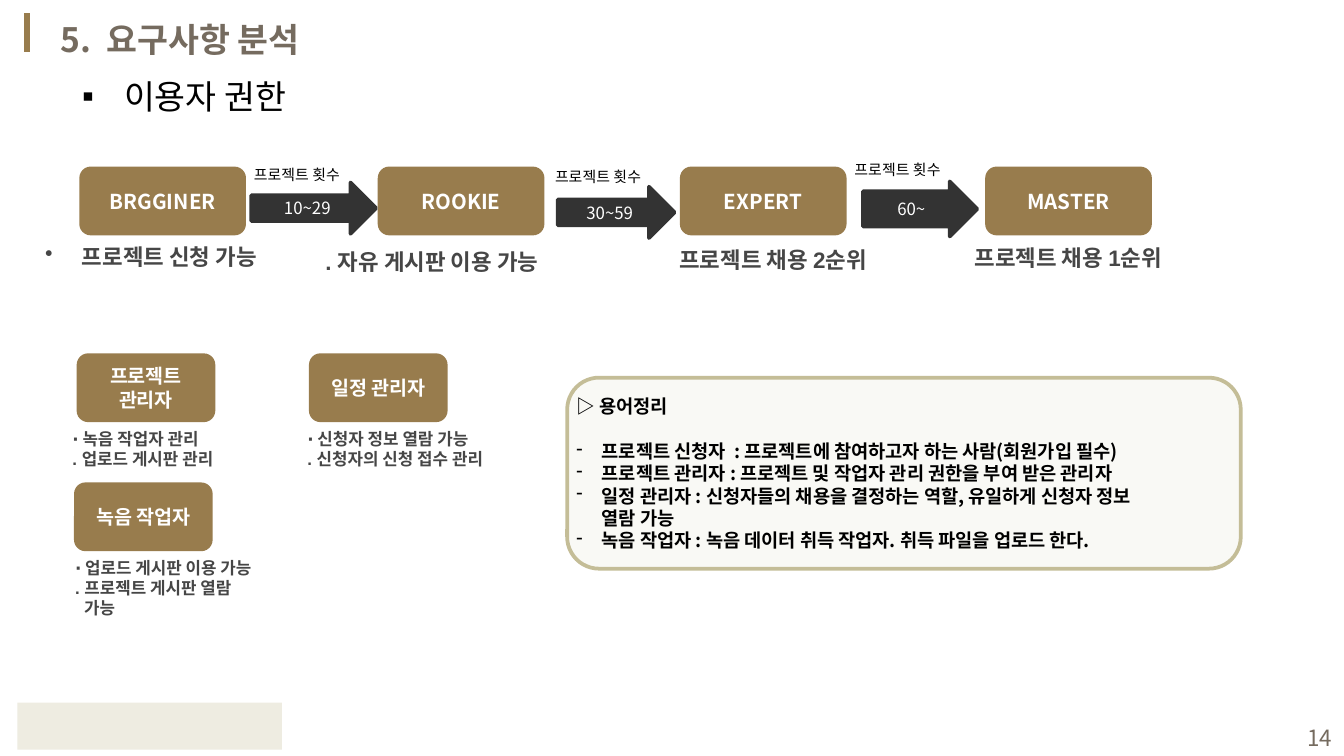
"""Build the user permissions page of a requirements analysis deck."""
from lxml import etree
from pptx import Presentation
from pptx.dml.color import RGBColor
from pptx.enum.shapes import MSO_CONNECTOR, MSO_SHAPE
from pptx.enum.text import MSO_ANCHOR, MSO_AUTO_SIZE, PP_ALIGN
from pptx.oxml.ns import qn
from pptx.util import Cm, Pt

LEFT, CENTER, RIGHT = PP_ALIGN.LEFT, PP_ALIGN.CENTER, PP_ALIGN.RIGHT
TOP, MIDDLE = MSO_ANCHOR.TOP, MSO_ANCHOR.MIDDLE
ROUNDED, ARROW, RECTANGLE = MSO_SHAPE.ROUNDED_RECTANGLE, MSO_SHAPE.RIGHT_ARROW, MSO_SHAPE.RECTANGLE
STRAIGHT, NO_FIT = MSO_CONNECTOR.STRAIGHT, MSO_AUTO_SIZE.NONE

BROWN = RGBColor(0x98, 0x7C, 0x4D)
TAUPE = RGBColor(0x75, 0x6B, 0x5F)
CHARCOAL = RGBColor(0x33, 0x33, 0x33)
GREY = RGBColor(0x46, 0x46, 0x46)
CREAM = RGBColor(0xEE, 0xEC, 0xE1)
SAND = RGBColor(0xC4, 0xBD, 0x97)
WHITE = RGBColor(0xFF, 0xFF, 0xFF)
BLACK = RGBColor(0, 0, 0)
NOTO, ARIAL = "Noto Sans CJK KR", "Arial"


def write(box, lines, size, color, bold=False, name=NOTO, align=LEFT, anchor=TOP):
    """Fill a box with one formatted paragraph for each line."""
    frame = box.text_frame
    for key, value in {"word_wrap": True, "auto_size": NO_FIT, "vertical_anchor": anchor}.items():
        setattr(frame, key, value)
    for number, line in enumerate(lines):
        para = frame.paragraphs[0] if number == 0 else frame.add_paragraph()
        para.alignment = align
        para.space_before = Pt(0)
        span = para.add_run()
        span.text = line
        span.font.color.rgb = color
        for key, value in {"size": Pt(size), "bold": bold, "name": name}.items():
            setattr(span.font, key, value)
        latin = span.font._element.find(qn("a:latin"))
        latin.addnext(latin.makeelement(qn("a:ea"), {"typeface": NOTO}))
    return frame.paragraphs


def indent(para, margin, hanging=0, bullet=None):
    """Set the indent of a paragraph and its bullet character."""
    properties = para._p.get_or_add_pPr()
    properties.set("marL", str(Cm(margin)))
    properties.set("indent", str(-Cm(hanging)))
    if bullet:
        etree.SubElement(properties, qn("a:buChar"), char=bullet)


deck = Presentation()
deck.slide_width, deck.slide_height = Cm(25.4), Cm(14.29)
page = deck.slides.add_slide(deck.slide_layouts[1])
shapes = page.shapes

title, body = page.placeholders
for box, place in ((title, (0.89, 0.23, 6.2, 1.02)), (body, (1.3, 1.3, 4.42, 1.02))):
    box.left, box.top, box.width, box.height = map(Cm, place)
write(title, ["5.  요구사항 분석"], 18, TAUPE, bold=True)
topic = write(body, ["이용자 권한"], 18, BLACK)[0]
indent(topic, 0.79, 0.79, "▪")

bar = shapes.add_connector(STRAIGHT, Cm(0.51), Cm(0.25), Cm(0.51), Cm(0.99))
bar.line.color.rgb, bar.line.width = BROWN, Pt(3)
etree.SubElement(bar._element.spPr, qn("a:effectLst"))

cards = [
    (1.5, 3.15, 3.15, 11, ["BRGGINER"]),
    (7.14, 3.15, 3.15, 11, ["ROOKIE"]),
    (12.85, 3.15, 3.15, 11, ["EXPERT"]),
    (18.62, 3.15, 3.15, 11, ["MASTER"]),
    (1.45, 6.68, 2.62, 10.5, ["프로젝트", "관리자"]),
    (5.84, 6.68, 2.62, 10.5, ["일정 관리자"]),
    (1.4, 9.12, 2.62, 10.5, ["녹음 작업자"]),
]
for left, top, width, size, lines in cards:
    card = shapes.add_shape(ROUNDED, Cm(left), Cm(top), Cm(width), Cm(1.3))
    card.shadow.inherit = False
    card.fill.solid()
    card.fill.fore_color.rgb = BROWN
    card.line.fill.background()
    write(card, lines, size, WHITE, bold=True, align=CENTER, anchor=MIDDLE)

steps = [
    (4.75, 3.45, 2.36, 0.97, 0.5, "10~29", 4.55, 3.0),
    (10.54, 3.53, 2.21, 0.97, 0.5, "30~59", 10.24, 3.05),
    (16.31, 3.43, 2.16, 1.04, 0.64, "60~", 15.9, 2.92),
]
for left, top, width, height, shaft, count, label_left, label_top in steps:
    arrow = shapes.add_shape(ARROW, Cm(left), Cm(top), Cm(width), Cm(height))
    arrow.shadow.inherit = False
    arrow.adjustments[0] = shaft
    arrow.fill.solid()
    arrow.fill.fore_color.rgb = arrow.line.color.rgb = CHARCOAL
    arrow.line.width = Pt(2)
    write(arrow, [count], 9, WHITE, align=CENTER, anchor=MIDDLE)
    label = shapes.add_textbox(Cm(label_left), Cm(label_top), Cm(2.39), Cm(0.61))
    write(label, ["프로젝트 횟수"], 8, BLACK)

rights = [
    (-0.3, 4.47, 6.12, CENTER, " 프로젝트 신청 가능", 0.6, "•"),
    (5.11, 4.57, 6.4, LEFT, ". 자유 게시판 이용 가능", 0, None),
    (12.12, 4.5, 4.98, CENTER, "프로젝트 채용 2순위", 0, None),
    (17.7, 4.47, 4.98, CENTER, "프로젝트 채용 1순위", 0, None),
]
for number, (left, top, width, align, text, hanging, bullet) in enumerate(rights):
    box = shapes.add_textbox(Cm(left), Cm(top), Cm(width), Cm(0.78))
    para = write(box, [text], 12, GREY, bold=True, name=ARIAL, align=align)[0]
    if number < 2:
        indent(para, 0.79, hanging, bullet)
    else:
        para.line_spacing = Pt(15)

duties = [
    (1.12, 7.98, ["∙ 녹음 작업자 관리", ". 업로드 게시판 관리"]),
    (5.56, 7.98, ["∙ 신청자 정보 열람 가능", ". 신청자의 신청 접수 관리"]),
    (1.17, 10.41, ["∙ 업로드 게시판 이용 가능", ". 프로젝트 게시판 열람", "가능"]),
]
for left, top, lines in duties:
    box = shapes.add_textbox(Cm(left), Cm(top), Cm(4.32), Cm(1.5))
    paras = write(box, lines, 9, GREY, bold=True, name=ARIAL)
    for para in paras[2:]:
        indent(para, 0.17)

glossary = shapes.add_shape(ROUNDED, Cm(10.72), Cm(7.14), Cm(12.73), Cm(3.61))
glossary.shadow.inherit = False
glossary.fill.solid()
glossary.fill.fore_color.rgb = CREAM
tint = glossary.fill._xPr.find(qn("a:solidFill"))[0]
etree.SubElement(tint, qn("a:alpha"), val="30000")
glossary.line.color.rgb, glossary.line.width = SAND, Pt(2)
terms = [
    "▷ 용어정리",
    "프로젝트 신청자  : 프로젝트에 참여하고자 하는 사람(회원가입 필수)",
    "프로젝트 관리자 : 프로젝트 및 작업자 관리 권한을 부여 받은 관리자",
    "일정 관리자 : 신청자들의 채용을 결정하는 역할, 유일하게 신청자 정보 열람 가능",
    "녹음 작업자 : 녹음 데이터 취득 작업자. 취득 파일을 업로드 한다.",
]
paras = write(glossary, terms, 10, BLACK, bold=True, anchor=MIDDLE)
for para in paras[1:]:
    indent(para, 0.48, 0.48, "-")
paras[1].space_before = Pt(12)
for side, margin in {"left": 0, "top": 0, "right": 1.2, "bottom": 0}.items():
    setattr(glossary.text_frame, f"margin_{side}", Cm(margin))

footer_block = shapes.add_shape(RECTANGLE, Cm(0.33), Cm(13.28), Cm(5.0), Cm(0.89))
footer_block.shadow.inherit = False
footer_block.fill.solid()
footer_block.fill.fore_color.rgb = CREAM
footer_block.line.fill.background()

page_number = shapes.add_textbox(Cm(19.51), Cm(13.56), Cm(5.92), Cm(0.76))
write(page_number, ["14"], 12, TAUPE, align=RIGHT, anchor=MIDDLE)

deck.save("out.pptx")
